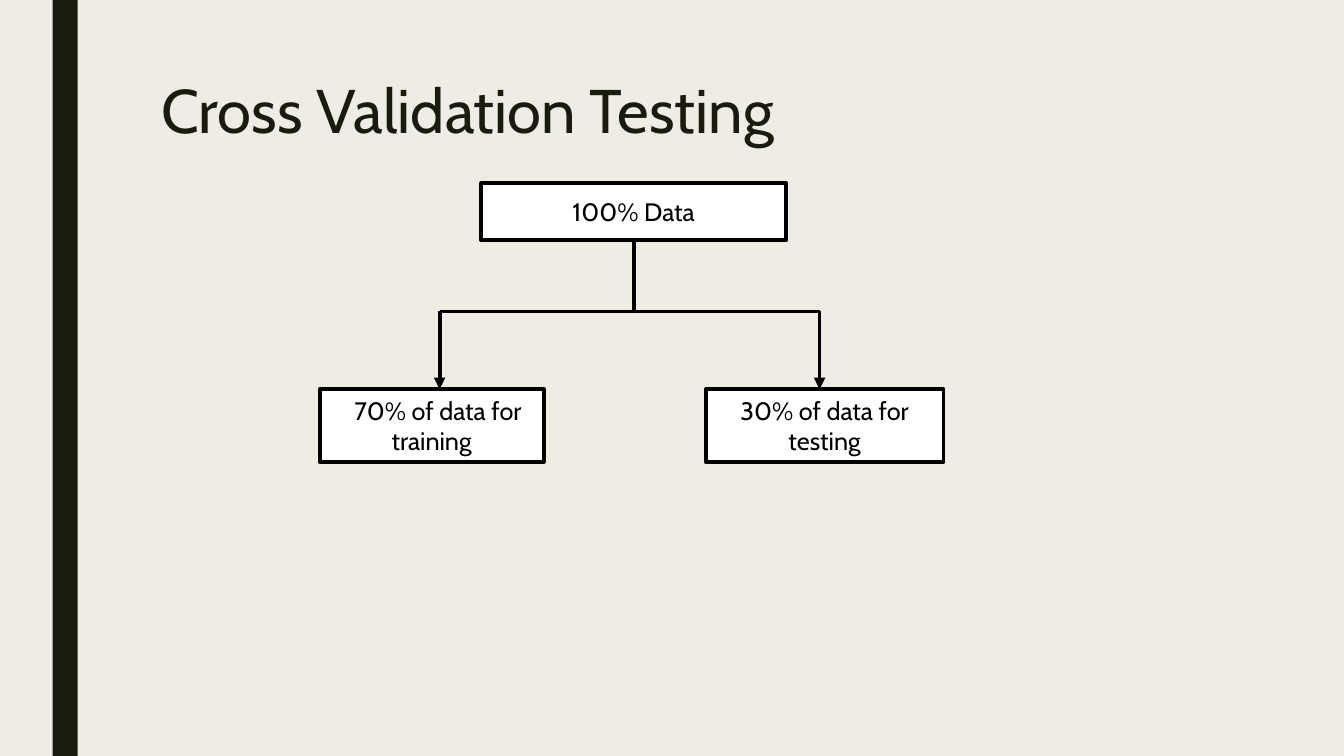
from lxml import etree
from pptx import Presentation
from pptx.dml.color import RGBColor
from pptx.enum.shapes import MSO_CONNECTOR, MSO_SHAPE
from pptx.enum.text import MSO_ANCHOR, MSO_AUTO_SIZE, PP_ALIGN
from pptx.oxml.ns import qn
from pptx.util import Pt

RECTANGLE = MSO_SHAPE.RECTANGLE
STRAIGHT = MSO_CONNECTOR.STRAIGHT
TOP, MIDDLE = MSO_ANCHOR.TOP, MSO_ANCHOR.MIDDLE
LEFT, CENTER = PP_ALIGN.LEFT, PP_ALIGN.CENTER
NO_AUTOFIT = MSO_AUTO_SIZE.NONE

CREAM = RGBColor(0xEF, 0xED, 0xE3)
DARK_OLIVE = RGBColor(0x19, 0x1B, 0x0E)
BLACK = RGBColor(0, 0, 0)
WHITE = RGBColor(0xFF, 0xFF, 0xFF)

FONT = "Cabin"
LINE_WIDTH = Pt(2.75)
BOTTOM_SIDE = 2
ROOT_CENTER = 452.6
ROOT_BOTTOM = 171.5
BRANCH_Y = 222.5
SPLIT_TOP = 278
SPLIT_HEIGHT = 52


def add_run(paragraph, text, size, color):
    """Add a run of text in the slide font."""
    run = paragraph.add_run()
    run.text = text
    run.font.name = FONT
    run.font.size = Pt(size)
    run.font.color.rgb = color


def set_title(slide, text):
    """Place and format the title placeholder."""
    title = slide.shapes.title
    title.left, title.top, title.width, title.height = Pt(108), Pt(54), Pt(756), Pt(116.6)
    frame = title.text_frame
    frame.auto_size = NO_AUTOFIT
    frame.vertical_anchor = TOP
    paragraph = frame.paragraphs[0]
    paragraph.alignment = LEFT
    paragraph.line_spacing = 0.89
    add_run(paragraph, text, 44, DARK_OLIVE)


def add_rectangle(slide, left, top, width, height, fill):
    """Add a plain filled rectangle without outline."""
    rectangle = slide.shapes.add_shape(RECTANGLE, Pt(left), Pt(top), Pt(width), Pt(height))
    rectangle.shadow.inherit = False
    rectangle.fill.solid()
    rectangle.fill.fore_color.rgb = fill
    rectangle.line.fill.background()
    return rectangle


def add_data_box(slide, left, top, width, height, text, indent=0):
    """Add an outlined box with a centred label."""
    box = add_rectangle(slide, left, top, width, height, WHITE)
    box.line.color.rgb = BLACK
    box.line.width = LINE_WIDTH
    frame = box.text_frame
    frame.word_wrap = True
    frame.vertical_anchor = MIDDLE
    paragraph = frame.paragraphs[0]
    paragraph.alignment = CENTER
    if indent:
        paragraph._p.get_or_add_pPr().set("indent", str(Pt(indent)))
    add_run(paragraph, text, 18, BLACK)
    return box


def add_line(slide, start, end, arrow=False):
    """Add a straight black line, with an arrowhead at its end if asked."""
    line = slide.shapes.add_connector(STRAIGHT, *(Pt(value) for value in start + end))
    line.line.color.rgb = BLACK
    line.line.width = LINE_WIDTH
    if arrow:
        etree.SubElement(line.line._get_or_add_ln(), qn("a:tailEnd"), type="triangle")
    etree.SubElement(line._element.spPr, qn("a:effectLst"))
    return line


def main():
    """Build the slide and save it."""
    presentation = Presentation()
    presentation.slide_width, presentation.slide_height = Pt(960), Pt(540)
    slide = presentation.slides.add_slide(presentation.slide_layouts[5])
    slide.background.fill.solid()
    slide.background.fill.fore_color.rgb = CREAM

    add_rectangle(slide, 37.5, 0, 18, 540, DARK_OLIVE)
    set_title(slide, "Cross Validation Testing")

    all_data = add_data_box(slide, 343.5, 131, 218.2, 40.5, "100% Data")
    junction = (ROOT_CENTER, BRANCH_Y)
    trunk = add_line(slide, (ROOT_CENTER, ROOT_BOTTOM), junction)
    trunk.begin_connect(all_data, BOTTOM_SIDE)

    splits = [
        (228.4, 160, 314, "70% of data for training", 9),
        (504, 170, 585.4, "30% of data for testing", 0),
    ]
    for left, width, arrow_x, text, indent in splits:
        add_data_box(slide, left, SPLIT_TOP, width, SPLIT_HEIGHT, text, indent)
        add_line(slide, junction, (arrow_x, BRANCH_Y))
        add_line(slide, (arrow_x, BRANCH_Y), (arrow_x, SPLIT_TOP), arrow=True)

    presentation.save("out.pptx")


if __name__ == "__main__":
    main()
